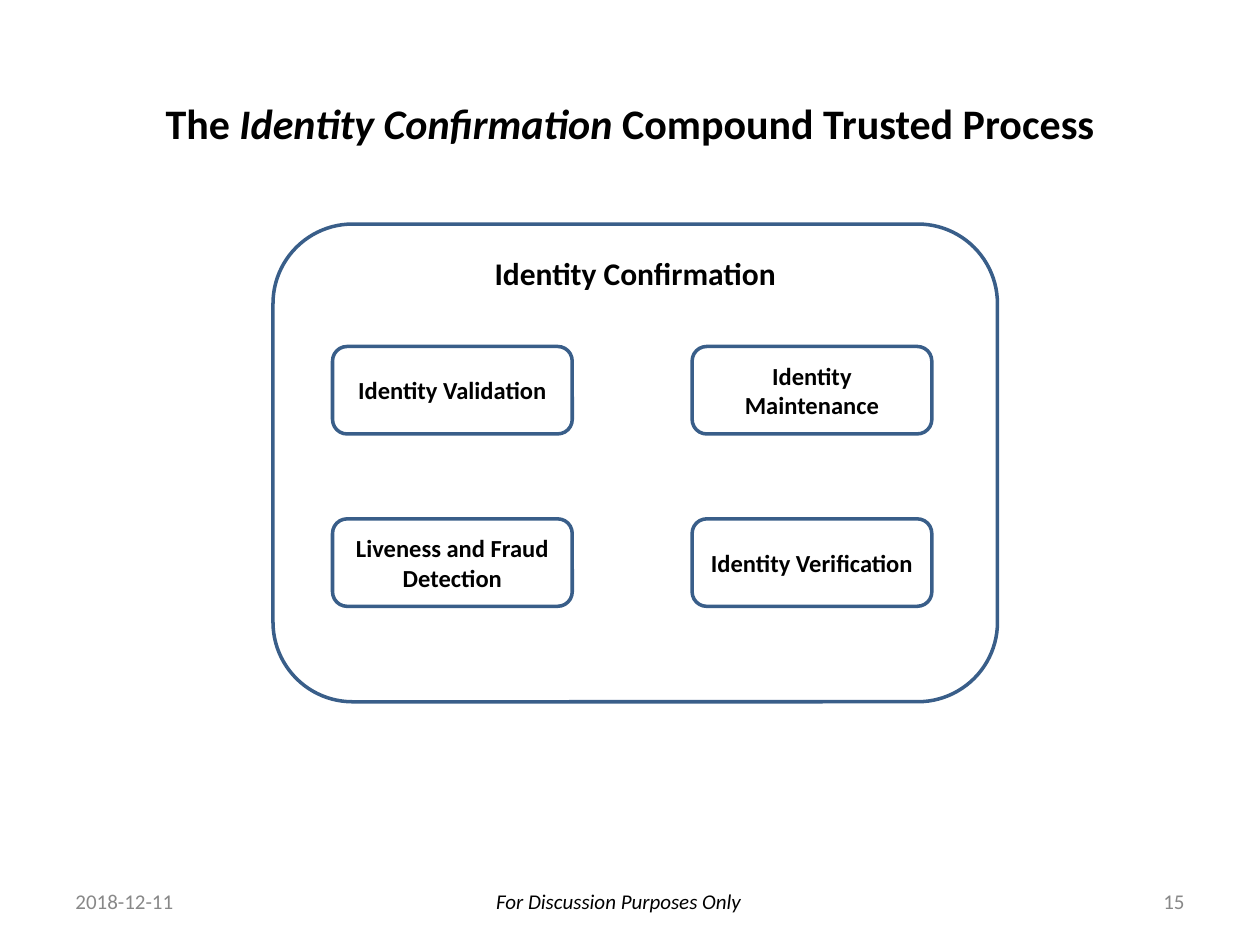
from pptx import Presentation
from pptx.dml.color import RGBColor
from pptx.enum.shapes import MSO_SHAPE
from pptx.enum.text import MSO_ANCHOR, PP_ALIGN
from pptx.util import Pt

BLACK = RGBColor(0x00, 0x00, 0x00)
GREY = RGBColor(0x88, 0x88, 0x88)
BLUE = RGBColor(0x39, 0x5E, 0x89)

STEPS = [
    ["Identity Validation", "Identity Maintenance"],
    ["Liveness and Fraud Detection", "Identity Verification"],
]


class Deck:
    """Holds the style and the current slide; lengths are in points."""

    face = "Calibri"

    def __init__(self, wide, high):
        self.prs = Presentation()
        self.prs.slide_width, self.prs.slide_height = Pt(wide), Pt(high)
        self.slide = self.prs.slides.add_slide(self.prs.slide_layouts[5])

    def style(self, run, size, color=BLACK, bold=False, italic=False):
        font = run.font
        font.name, font.size = self.face, Pt(size)
        font.bold, font.italic = bold, italic
        font.color.rgb = color

    def frame(self, shape, anchor, inset=3.6):
        frame = shape.text_frame
        frame.word_wrap = True
        frame.vertical_anchor = anchor
        frame.margin_left = frame.margin_right = Pt(7.2)
        frame.margin_top = frame.margin_bottom = Pt(inset)
        return frame

    def title(self, parts, left, top, wide, high):
        """Fill the title from (text, italic) pairs."""
        shape = self.slide.shapes.title
        shape.left, shape.top = Pt(left), Pt(top)
        shape.width, shape.height = Pt(wide), Pt(high)
        para = self.frame(shape, MSO_ANCHOR.MIDDLE).paragraphs[0]
        para.alignment = PP_ALIGN.CENTER
        for text, italic in parts:
            run = para.add_run()
            run.text = text
            self.style(run, 24, bold=True, italic=italic)

    def box(self, text, left, top, wide, high, size, anchor=MSO_ANCHOR.MIDDLE):
        shape = self.slide.shapes.add_shape(
            MSO_SHAPE.ROUNDED_RECTANGLE, Pt(left), Pt(top), Pt(wide), Pt(high))
        shape.shadow.inherit = False
        shape.fill.background()
        shape.line.color.rgb = BLUE
        shape.line.width = Pt(2)
        frame = self.frame(shape, anchor)
        frame.text = text
        para = frame.paragraphs[0]
        para.alignment = PP_ALIGN.CENTER
        self.style(para.runs[0], size, bold=True)

    def note(self, text, left, wide, align, color=GREY, italic=False,
             anchor=MSO_ANCHOR.MIDDLE, inset=3.6):
        """Add one part of the footer line."""
        shape = self.slide.shapes.add_textbox(
            Pt(left), Pt(500.5), Pt(wide), Pt(28.75))
        frame = self.frame(shape, anchor, inset)
        frame.text = text
        para = frame.paragraphs[0]
        para.alignment = align
        self.style(para.runs[0], 12, color, italic=italic)


def main():
    deck = Deck(720, 540)
    deck.title([("The ", False), ("Identity Confirmation ", True),
                ("Compound Trusted Process", False)], 36.5, 52, 647, 36)

    deck.box("Identity Confirmation", 156, 128, 414, 273, 18, MSO_ANCHOR.TOP)
    for row, names in enumerate(STEPS):
        for col, name in enumerate(names):
            deck.box(name, 190 + 205.5 * col, 198 + 98.5 * row, 137, 50, 14)

    deck.note("For Discussion Purposes Only", 227, 253, PP_ALIGN.CENTER,
              BLACK, True, MSO_ANCHOR.TOP, 7.2)
    deck.note("2018-12-11", 36, 168, PP_ALIGN.LEFT)
    deck.note("15", 516, 168, PP_ALIGN.RIGHT)
    deck.prs.save("out.pptx")


if __name__ == "__main__":
    main()
